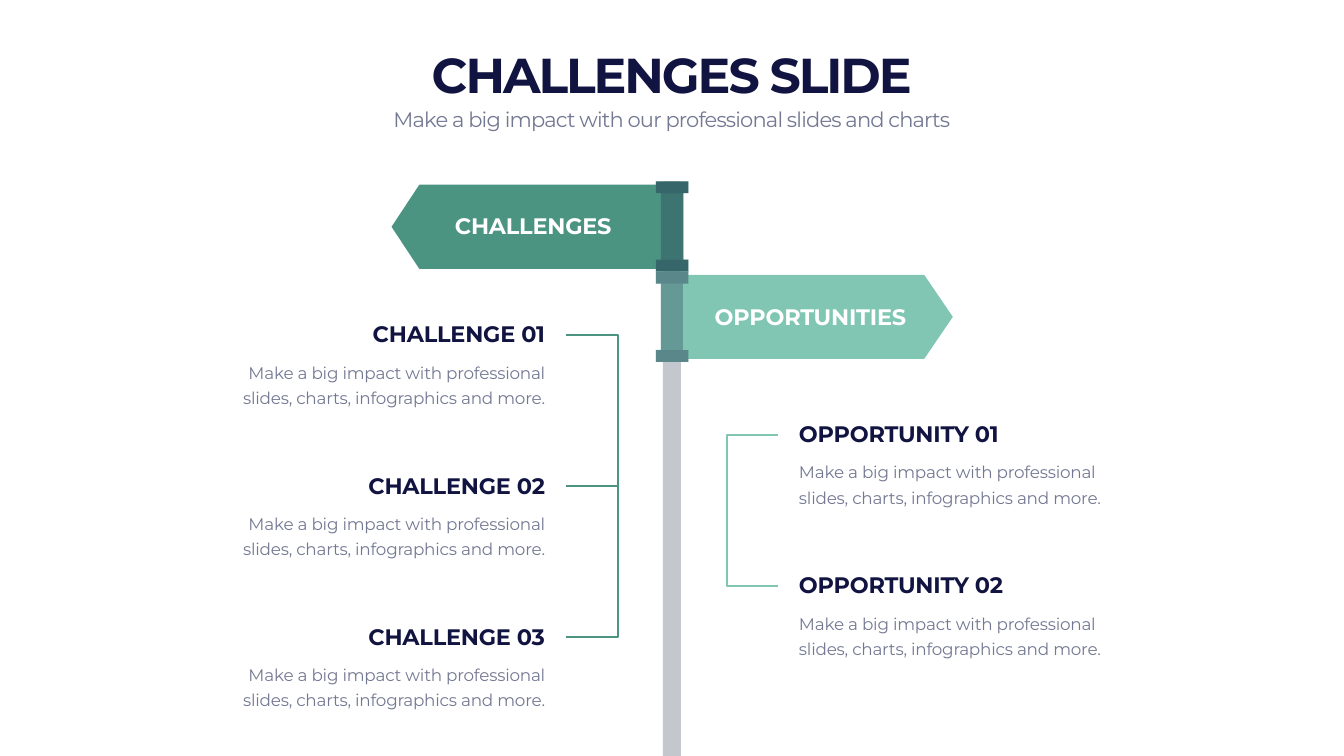
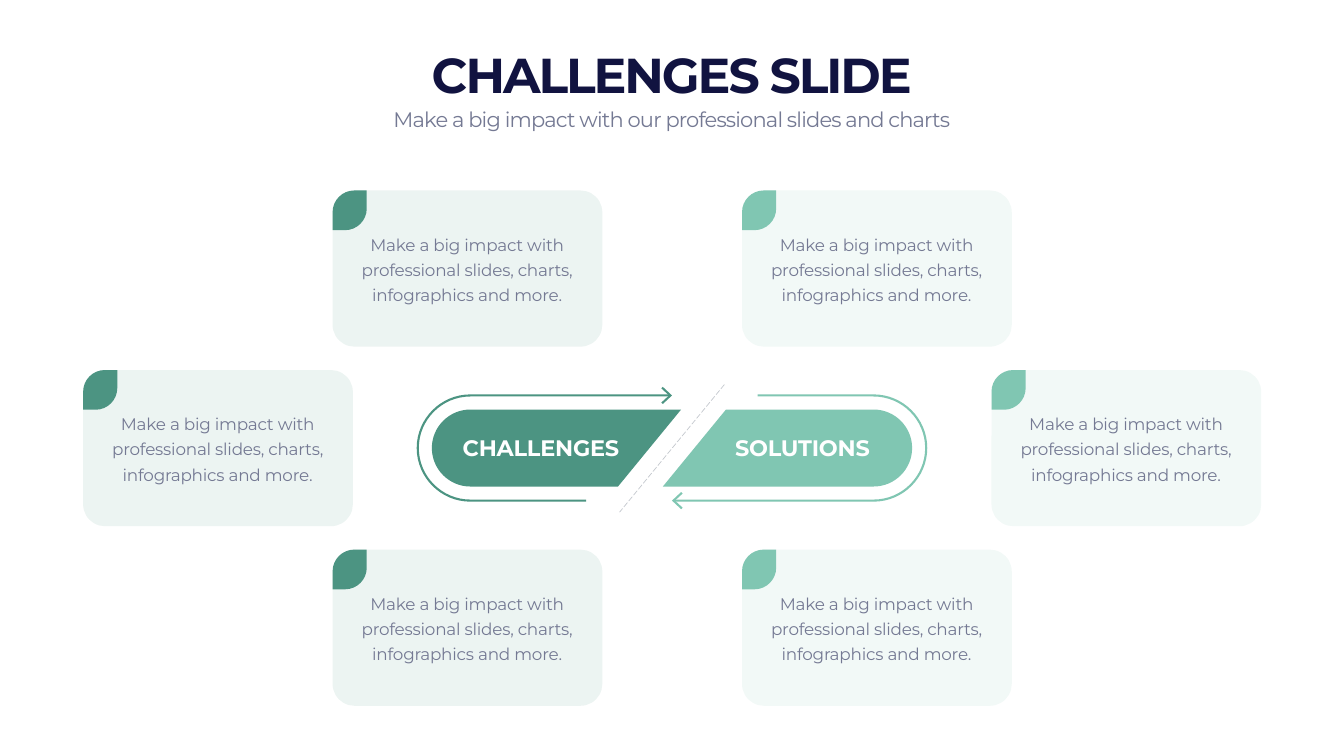
import itertools
from dataclasses import dataclass

import pptx
import pptx.dml.color
import pptx.enum.dml
import pptx.enum.shapes
import pptx.enum.text
import pptx.oxml.ns
import pptx.util
from lxml import etree

Cm = pptx.util.Cm
Pt = pptx.util.Pt
qn = pptx.oxml.ns.qn
SHAPE = pptx.enum.shapes.MSO_SHAPE
ALIGN = pptx.enum.text.PP_ALIGN
ANCHOR = pptx.enum.text.MSO_ANCHOR

WIDTH, HEIGHT = 67.72, 38.1
ROUND = 0.55  # pull of a quarter circle's handles towards its corner
TITLE = "CHALLENGES SLIDE"
SUBTITLE = "Make a big impact with our professional slides and charts"
BODY = "Make a big impact with professional slides, charts, infographics and more."


@dataclass(frozen=True)
class TextStyle:
    size: float
    color: str
    bold: bool = False
    spacing: float = -0.3
    leading: float = None


@dataclass(frozen=True)
class Theme:
    font: str = "Montserrat"
    navy: str = "111340"
    gray: str = "C4C8CE"
    dark: str = "4C9482"
    light: str = "80C6B2"
    rule: float = 3
    title: TextStyle = TextStyle(70, "111340", True, -2.9)
    subtitle: TextStyle = TextStyle(30, "747993", spacing=-1.2)
    heading: TextStyle = TextStyle(32, "111340", True)
    label: TextStyle = TextStyle(32, "FFFFFF", True)
    body: TextStyle = TextStyle(24, "747993", leading=36)


class Deck:
    def __init__(self, theme):
        self.theme = theme
        self.prs = pptx.Presentation()
        self.prs.slide_width, self.prs.slide_height = Cm(WIDTH), Cm(HEIGHT)
        self.s = None
        self.shapes = None

    def new_slide(self):
        self.s = self.prs.slides.add_slide(self.prs.slide_layouts[6])
        self.shapes = self.s.shapes

    def start_group(self):
        self.shapes = self.s.shapes.add_group_shape().shapes

    def end_group(self):
        self.shapes = self.s.shapes

    def titles(self):
        t = self.theme
        self.text(4.22, 2.08, 59.26, 3.25, TITLE, t.title, ALIGN.CENTER, ANCHOR.BOTTOM)
        self.text(4.22, 5.23, 59.26, 1.55, SUBTITLE, t.subtitle, ALIGN.CENTER)

    def text(self, x, y, w, h, words, style, align=ALIGN.LEFT, anchor=ANCHOR.TOP):
        tf = self.shapes.add_textbox(Cm(x), Cm(y), Cm(w), Cm(h)).text_frame
        tf.word_wrap = True
        tf.auto_size = pptx.enum.text.MSO_AUTO_SIZE.SHAPE_TO_FIT_TEXT
        tf.vertical_anchor = anchor
        p = tf.paragraphs[0]
        p.alignment = align
        if style.leading:
            p.line_spacing = Pt(style.leading)
        r = p.add_run()
        r.text = words
        r.font.name = self.theme.font
        r.font.size = Pt(style.size)
        r.font.bold = style.bold
        r.font.color.rgb = pptx.dml.color.RGBColor.from_string(style.color)
        r._r.get_or_add_rPr().set("spc", str(round(style.spacing * 100)))

    def paint(self, sp, color, alpha=100):
        sp.shadow.inherit = False
        sp.line.fill.background()
        sp.fill.solid()
        sp.fill.fore_color.rgb = pptx.dml.color.RGBColor.from_string(color)
        if alpha < 100:
            clr = sp._element.spPr.find(qn("a:solidFill")).find(qn("a:srgbClr"))
            etree.SubElement(clr, qn("a:alpha")).set("val", str(alpha * 1000))

    def stroke(self, sp, color, width):
        sp.line.color.rgb = pptx.dml.color.RGBColor.from_string(color)
        sp.line.width = Pt(width)

    def shape(self, kind, x, y, w, h, color, alpha=100, adj=None, flip=False):
        sp = self.shapes.add_shape(kind, Cm(x), Cm(y), Cm(w), Cm(h))
        self.paint(sp, color, alpha)
        if adj is not None:
            sp.adjustments[0] = adj
        if flip:
            sp._element.spPr.find(qn("a:xfrm")).set("flipH", "1")

    def outline(self, points, close):
        """Points are (x, y), or (x, y, corner x, corner y) for a quarter circle."""
        ends = [(Cm(pt[0]), Cm(pt[1])) for pt in points]
        fb = self.shapes.build_freeform(*ends[0])
        fb.add_line_segments(ends[1:], close=close)
        sp = fb.convert_to_shape()
        segments = list(sp._element.iter(qn("a:lnTo")))
        for seg, before, pt in zip(segments, points, points[1:]):
            if len(pt) == 4:
                self.bend(sp, seg, before[:2], pt[:2], pt[2:])
        return sp

    def bend(self, sp, seg, start, end, corner):
        seg.tag  # the straight segment gives way to a curve at the same place
        curve = etree.Element(qn("a:cubicBezTo"))
        handles = [[a + ROUND * (c - a) for a, c in zip(pt, corner)] for pt in (start, end)]
        for x, y in handles + [end]:
            node = etree.SubElement(curve, qn("a:pt"))
            node.set("x", str(Cm(x) - sp.left))
            node.set("y", str(Cm(y) - sp.top))
        seg.getparent().replace(seg, curve)

    def polygon(self, points, color):
        self.paint(self.outline(points, True), color)

    def polyline(self, points, color):
        sp = self.outline(points, False)
        sp.shadow.inherit = False
        sp.fill.background()
        self.stroke(sp, color, self.theme.rule)

    def line(self, x1, y1, x2, y2, color, width, dash=None):
        cn = self.shapes.add_connector(
            pptx.enum.shapes.MSO_CONNECTOR.STRAIGHT, Cm(x1), Cm(y1), Cm(x2), Cm(y2))
        self.stroke(cn, color, width)
        if dash:
            cn.line.dash_style = dash
        etree.SubElement(cn._element.spPr, qn("a:effectLst"))

    # Signpost parts
    def clamp(self, y, color):
        """I-shaped sleeve that holds a sign on the pole, with darker caps and core."""
        x, w, h, cap, inset = 33.05, 1.64, 4.55, 0.6, 0.25
        left, right, top, bottom = x + inset, x + w - inset, y + cap, y + h - cap
        self.polygon([(x + w, top), (x + w, y), (x, y), (x, top), (left, top),
                      (left, bottom), (x, bottom), (x, y + h), (x + w, y + h),
                      (x + w, bottom), (right, bottom), (right, top)], color)
        for cap_y in (bottom, y):
            self.shape(SHAPE.RECTANGLE, x, cap_y, w, cap, self.theme.navy, 35)
        self.shape(SHAPE.RECTANGLE, left, top, right - left, bottom - top, self.theme.navy, 25)

    def item(self, x, y, heading, align):
        t = self.theme
        self.text(x, y, 17.75, 1.63, heading, t.heading, align, ANCHOR.BOTTOM)
        self.text(x, y + 1.88, 17.75, 2.72, BODY, t.body, align)

    # Card with a leaf in its corner
    def card(self, x, y, color):
        self.start_group()
        self.shape(SHAPE.ROUNDED_RECTANGLE, x, y, 13.59, 7.87, color, 10, adj=0.14)
        right, bottom, radius = x + 1.72, y + 2, 1.09
        self.polygon([(x + radius, y), (x, y + radius, x, y), (x, bottom),
                      (right - radius, bottom),
                      (right, bottom - radius, right, bottom), (right, y)], color)
        self.end_group()


def signpost_slide(d):
    t = d.theme
    d.new_slide()

    # Pole and signs
    d.start_group()
    d.shape(SHAPE.RECTANGLE, 33.4, 9.14, 0.91, HEIGHT - 9.14, t.gray)
    d.shape(SHAPE.PENTAGON, 19.73, 9.31, 13.57, 4.24, t.dark, adj=0.33, flip=True)
    d.clamp(9.14, t.dark)
    d.shape(SHAPE.PENTAGON, 34.44, 13.85, 13.57, 4.24, t.light, adj=0.34)
    d.clamp(13.69, t.light)
    d.end_group()

    # Brackets
    pitch, drop = 7.62, 0.88
    columns = [
        ("CHALLENGE", 3, 9.96, 16, 28.54, 31.14, t.dark, ALIGN.RIGHT),
        ("OPPORTUNITY", 2, 40.01, 21.03, 39.19, 36.61, t.light, ALIGN.LEFT),
    ]
    for name, count, x, y, tip, spine, color, align in columns:
        first, last = y + drop, y + drop + (count - 1) * pitch
        d.polyline([(tip, first), (spine, first), (spine, last), (tip, last)], color)
        for i in range(1, count - 1):
            d.line(tip, first + i * pitch, spine, first + i * pitch, color, t.rule)

    # Title, items and sign labels
    d.titles()
    for name, count, x, y, tip, spine, color, align in columns:
        for i in range(count):
            d.item(x, y + i * pitch, f"{name} {i + 1:02d}", align)
    for x, y, words in [(20.96, 10.54, "CHALLENGES"), (34.93, 15.14, "OPPORTUNITIES")]:
        d.text(x, y, 11.81, 1.63, words, t.label, ALIGN.CENTER, ANCHOR.MIDDLE)


def solutions_slide(d):
    t = d.theme
    d.new_slide()

    # Split pill with arrow tracks; the right half is the left one turned by 180 degrees
    mid_x, mid_y, cap_x, pill_r, track_r = WIDTH / 2, 22.58, 23.7, 1.94, 2.65

    def left_cap(radius):
        """From the top of the rounded end to its bottom."""
        x, top, bottom = cap_x - radius, mid_y - radius, mid_y + radius
        return [(cap_x, top), (x, mid_y, x, top), (cap_x, bottom, x, bottom)]

    def turned(points):
        return [tuple(2 * m - v for m, v in zip(itertools.cycle((mid_x, mid_y)), pt))
                for pt in points]

    def mirrored(points):
        return [tuple(v if i % 2 == 0 else 2 * mid_y - v for i, v in enumerate(pt))
                for pt in points]

    pill = [(34.32, mid_y - pill_r)] + left_cap(pill_r) + [(31.14, mid_y + pill_r)]
    track_top = mid_y - track_r
    track = [(29.54, mid_y + track_r)] + mirrored(left_cap(track_r)) + [(33.76, track_top)]
    head = [(mid_x + dx, track_top + dy) for dx, dy in
            [(-0.46, 0.43), (-0.54, 0.36), (-0.15, 0), (-0.54, -0.36), (-0.46, -0.43), (0, 0)]]

    d.start_group()
    d.line(36.5, 19.38, 31.22, 25.81, t.gray, 1, pptx.enum.dml.MSO_LINE.LONG_DASH)
    halves = [(t.dark, list), (t.light, turned)]
    for color, place in halves:
        d.polygon(place(pill), color)
    for color, place in reversed(halves):
        d.polyline(place(track), color)
        d.polygon(place(head), color)
    d.end_group()

    # Cards around the pill, then all text
    top, pitch = 9.6, 9.05
    spots = [(x, top + row * pitch, color)
             for color, inner, outer in [(t.dark, 16.76, 4.19), (t.light, 37.39, 49.96)]
             for row, x in enumerate([inner, outer, inner])]
    for x, y, color in spots:
        d.card(x, y, color)
    d.titles()
    for x, y, color in spots:
        d.text(x + 0.77, y + 1.87, 12.01, 3.99, BODY, t.body, ALIGN.CENTER, ANCHOR.MIDDLE)
    for x, words in [(22.48, "CHALLENGES"), (35.66, "SOLUTIONS")]:
        d.text(x, 21.75, 9.55, 1.63, words, t.label, ALIGN.CENTER, ANCHOR.MIDDLE)


def main():
    d = Deck(Theme())
    signpost_slide(d)
    solutions_slide(d)
    d.prs.save("out.pptx")


if __name__ == "__main__":
    main()
